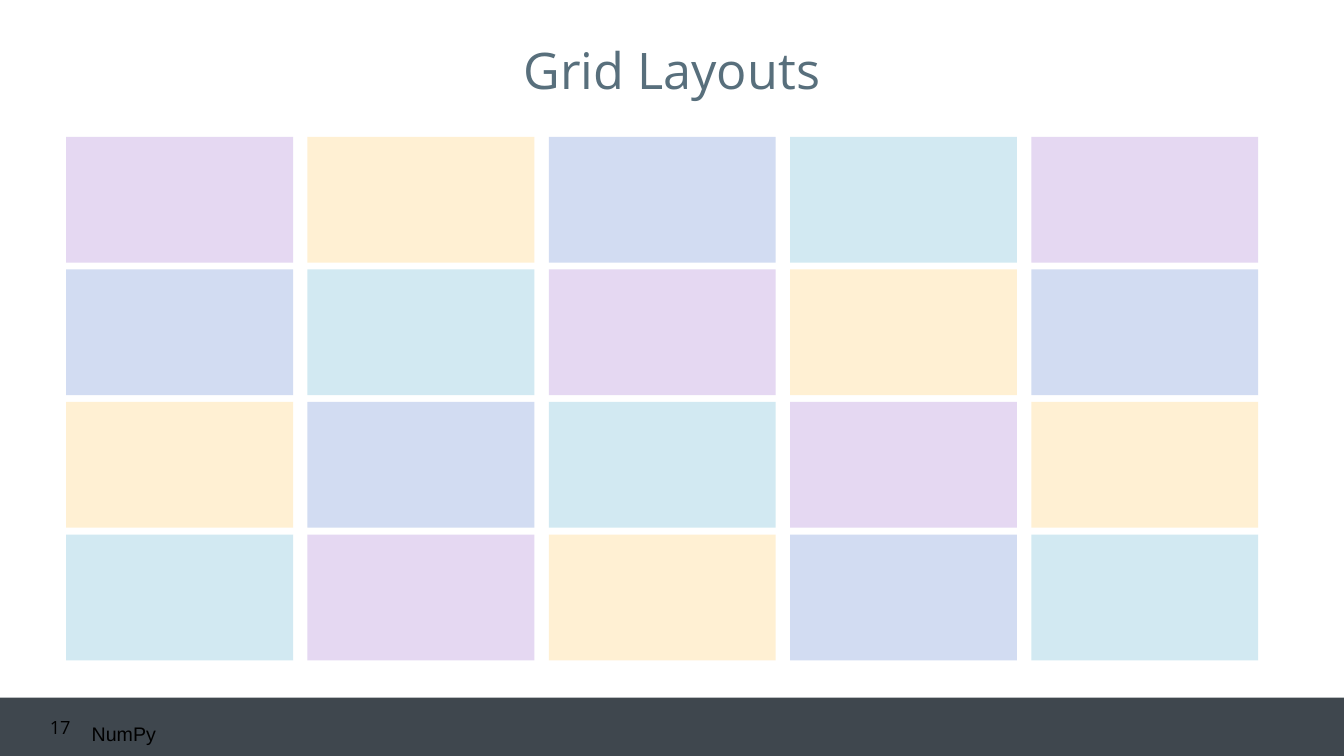
"""Builds the Grid Layouts slide: a title, a grid of pale tiles and a dark footer."""
from lxml import etree
from pptx import Presentation
from pptx import util as u
from pptx.dml.color import RGBColor
from pptx.enum import shapes, text
from pptx.oxml.ns import qn

COLOURS = {
    "slate": "586F7C",
    "footer": "3F474E",
    "ink": "000000",
    "purple": "9866CF",
    "yellow": "FFC553",
    "blue": "4D77CF",
    "teal": "4DABCF",
}
CYCLE = ("purple", "yellow", "blue", "teal")
ROW_STARTS = (0, 2, 1, 3)
COLUMNS = 5
GRID_LEFT, GRID_TOP = 1.67, 3.45
TILE_WIDTH, TILE_HEIGHT = 5.72, 3.17
COLUMN_STEP, ROW_STEP = 6.08, 3.34
WIDTH, HEIGHT = 33.87, 19.05


class SlideBuilder:
    """Holds the style and the current slide."""

    def __init__(self, deck):
        """Add a title-only slide to the deck."""
        self.font = "Open Sans"
        self.slide = deck.slides.add_slide(deck.slide_layouts[5])

    def set_line(self, frame, words, size, colour, align, font=None):
        """Fill a text frame with one formatted line."""
        frame.text = words
        frame.word_wrap = True
        frame.auto_size = text.MSO_AUTO_SIZE.NONE
        frame.vertical_anchor = text.MSO_ANCHOR.MIDDLE
        line = frame.paragraphs[0]
        line.alignment = align
        style = line.runs[0].font
        style.name = font or self.font
        style.size = u.Pt(size)
        style.color.rgb = RGBColor.from_string(COLOURS[colour])
        return line

    def title(self, words, height):
        """Place the heading across the top of the slide."""
        heading = self.slide.shapes.title
        heading.left, heading.top = u.Cm(0), u.Cm(0)
        heading.width, heading.height = u.Cm(WIDTH), u.Cm(height)
        line = self.set_line(heading.text_frame, words, 36, "slate", text.PP_ALIGN.CENTER)
        line.line_spacing = 0.9

    def block(self, left, top, width, height, colour, opacity=100):
        """Draw a borderless rectangle with the given opacity in percent."""
        rect = self.slide.shapes.add_shape(
            shapes.MSO_SHAPE.RECTANGLE, u.Cm(left), u.Cm(top), u.Cm(width), u.Cm(height))
        rect.shadow.inherit = False
        rect.line.fill.background()
        rect.fill.solid()
        rect.fill.fore_color.rgb = RGBColor.from_string(COLOURS[colour])
        if opacity < 100:
            tint = rect.element.spPr.find(qn("a:solidFill"))[0]
            etree.SubElement(tint, qn("a:alpha")).set("val", str(opacity * 1000))

    def label(self, left, top, width, height, words, size, align, font=None):
        """Add a text box with one line."""
        box = self.slide.shapes.add_textbox(
            u.Cm(left), u.Cm(top), u.Cm(width), u.Cm(height))
        self.set_line(box.text_frame, words, size, "ink", align, font)


def main():
    """Build and save the slide."""
    deck = Presentation()
    deck.slide_width, deck.slide_height = u.Cm(WIDTH), u.Cm(HEIGHT)
    page = SlideBuilder(deck)
    page.block(0, 17.58, WIDTH, 1.47, "footer")
    page.title("Grid Layouts", 3.68)
    for row, start in enumerate(ROW_STARTS):
        for column in range(COLUMNS):
            page.block(GRID_LEFT + column * COLUMN_STEP, GRID_TOP + row * ROW_STEP,
                       TILE_WIDTH, TILE_HEIGHT,
                       CYCLE[(start + column) % len(CYCLE)], opacity=25)
    page.label(2.06, 17.93, 15.77, 1.12, "NumPy", 14, text.PP_ALIGN.LEFT, "Arial")
    page.label(0, 17.6, 2.03, 1.45, "17", 13, text.PP_ALIGN.RIGHT)
    deck.save("out.pptx")


if __name__ == "__main__":
    main()
